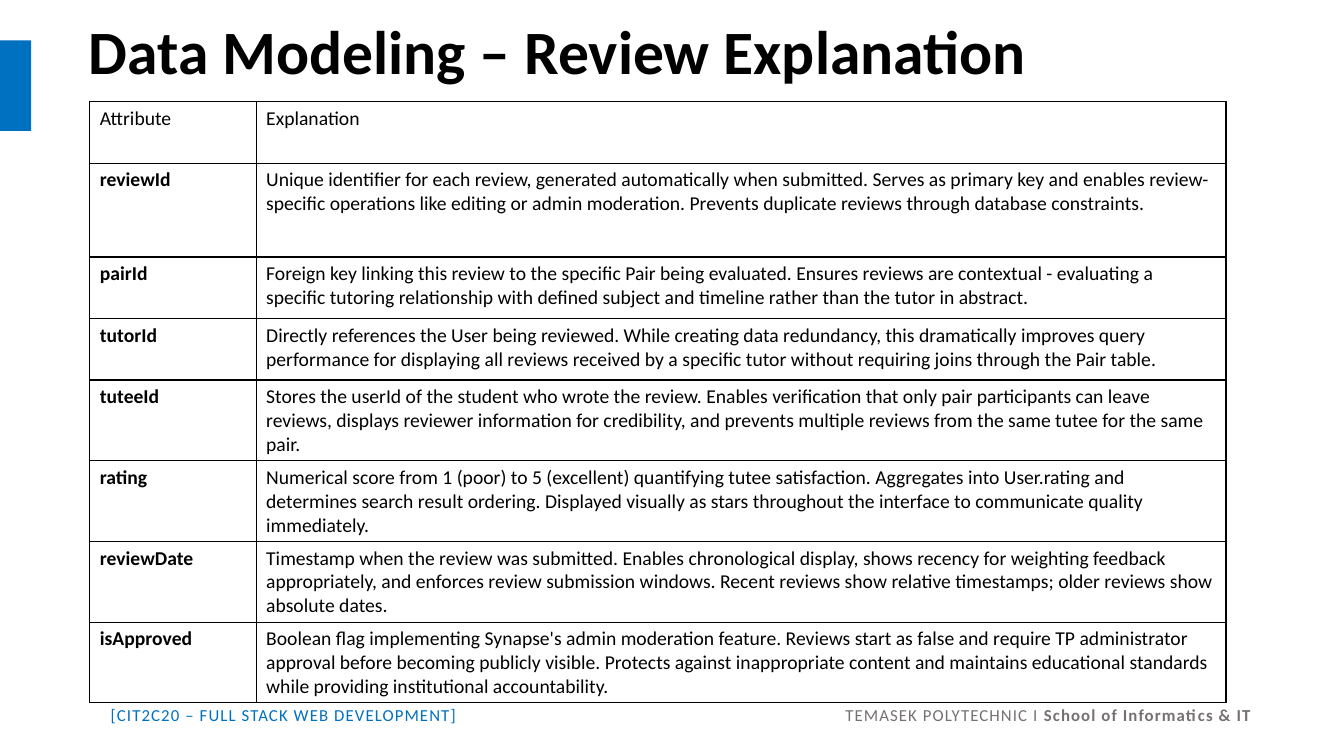
import pptx
import pptx.util
import pptx.dml.color
import pptx.enum.shapes
import pptx.enum.text
import pptx.oxml.ns
from lxml import etree

PX = 9144
ROW_HEIGHT = 61
TALL_ROW_HEIGHT = 93
BLUE, GREY, BLACK = "0070C0", "767171", "000000"

ROWS = [
    ("Attribute", "Explanation"),
    ("reviewId", "Unique identifier for each review, generated automatically when submitted. Serves as primary key and enables review-specific operations like editing or admin moderation. Prevents duplicate reviews through database constraints."),
    ("pairId", "Foreign key linking this review to the specific Pair being evaluated. Ensures reviews are contextual - evaluating a specific tutoring relationship with defined subject and timeline rather than the tutor in abstract."),
    ("tutorId", "Directly references the User being reviewed. While creating data redundancy, this dramatically improves query performance for displaying all reviews received by a specific tutor without requiring joins through the Pair table."),
    ("tuteeId", "Stores the userId of the student who wrote the review. Enables verification that only pair participants can leave reviews, displays reviewer information for credibility, and prevents multiple reviews from the same tutee for the same pair."),
    ("rating", "Numerical score from 1 (poor) to 5 (excellent) quantifying tutee satisfaction. Aggregates into User.rating and determines search result ordering. Displayed visually as stars throughout the interface to communicate quality immediately."),
    ("reviewDate", "Timestamp when the review was submitted. Enables chronological display, shows recency for weighting feedback appropriately, and enforces review submission windows. Recent reviews show relative timestamps; older reviews show absolute dates."),
    ("isApproved", "Boolean flag implementing Synapse's admin moderation feature. Reviews start as false and require TP administrator approval before becoming publicly visible. Protects against inappropriate content and maintains educational standards while providing institutional accountability."),
]


def rgb(value):
    return pptx.dml.color.RGBColor.from_string(value)


def px(*lengths):
    return [length * PX for length in lengths]


def add_xml(parent, tag, **attrs):
    return etree.SubElement(parent, pptx.oxml.ns.qn(tag), **attrs)


def add_text(p, text, font="Calibri", size=14, color=BLACK, bold=False, spacing=None):
    r = p.add_run()
    r.text = text
    r.font.name = font
    r.font.size = pptx.util.Pt(size)
    r.font.bold = bold
    r.font.color.rgb = rgb(color)
    if spacing is not None:
        r.font._element.set("spc", str(round(spacing * 100)))


class SlideBuilder:
    """Builds elements on one slide in a shared style."""

    def __init__(self, prs):
        self.slide = prs.slides.add_slide(prs.slide_layouts[5])
        self.shapes = self.slide.shapes

    def title(self, text, *box):
        sp = self.shapes.title
        sp.left, sp.top, sp.width, sp.height = px(*box)
        tf = sp.text_frame
        tf.auto_size = pptx.enum.text.MSO_AUTO_SIZE.NONE
        tf.vertical_anchor = pptx.enum.text.MSO_ANCHOR.MIDDLE
        p = tf.paragraphs[0]
        p.alignment = pptx.enum.text.PP_ALIGN.LEFT
        p.line_spacing = 0.9
        add_text(p, text, size=44, bold=True)

    def bar(self, color, *box):
        sp = self.shapes.add_shape(pptx.enum.shapes.MSO_SHAPE.RECTANGLE, *px(*box))
        sp.shadow.inherit = False
        sp.fill.solid()
        sp.fill.fore_color.rgb = rgb(color)
        sp.line.fill.background()

    def footer(self, course, school, department, tab, *box):
        tf = self.shapes.add_textbox(*px(*box)).text_frame
        tf.word_wrap = True
        p = tf.paragraphs[0]
        tabs = add_xml(p._p.get_or_add_pPr(), "a:tabLst")
        add_xml(tabs, "a:tab", pos=str(tab * PX), algn="r")
        add_text(p, course + "\t", size=12, color=BLUE, spacing=0.8)
        add_text(p, school, size=12, color=GREY, spacing=0.8)
        add_text(p, department, size=12, color=GREY, bold=True, spacing=0.8)

    def cell(self, cell, text, bold):
        add_text(cell.text_frame.paragraphs[0], text, bold=bold)
        tcPr = cell._tc.get_or_add_tcPr()
        for side in "LRTB":
            line = add_xml(tcPr, f"a:ln{side}", w=str(pptx.util.Pt(1)))
            add_xml(add_xml(line, "a:solidFill"), "a:srgbClr", val=BLACK)
        cell.fill.background()

    def table(self, rows, left, top, widths, heights):
        box = px(left, top, sum(widths), sum(heights))
        table = self.shapes.add_table(len(rows), len(widths), *box).table
        table.first_row = table.horz_banding = False
        for column, width in zip(table.columns, widths):
            column.width = width * PX
        for i, (row, height) in enumerate(zip(table.rows, heights)):
            row.height = height * PX
            for j, text in enumerate(rows[i]):
                self.cell(row.cells[j], text, bold=i > 0 and j == 0)


def main():
    prs = pptx.Presentation()
    prs.slide_width, prs.slide_height = px(1333, 750)
    s = SlideBuilder(prs)
    s.footer("[CIT2C20 – FULL STACK WEB DEVELOPMENT]", "TEMASEK POLYTECHNIC I ",
             "School of Informatics & IT", 1131, 100, 694, 1163, 30)
    s.bar(BLUE, 0, 40, 31, 90)
    s.title("Data Modeling – Review Explanation", 78, 0, 1151, 109)
    heights = [ROW_HEIGHT] * len(ROWS)
    heights[1] = TALL_ROW_HEIGHT
    s.table(ROWS, 89, 101, [165, 962], heights)
    prs.save("out.pptx")


if __name__ == "__main__":
    main()
